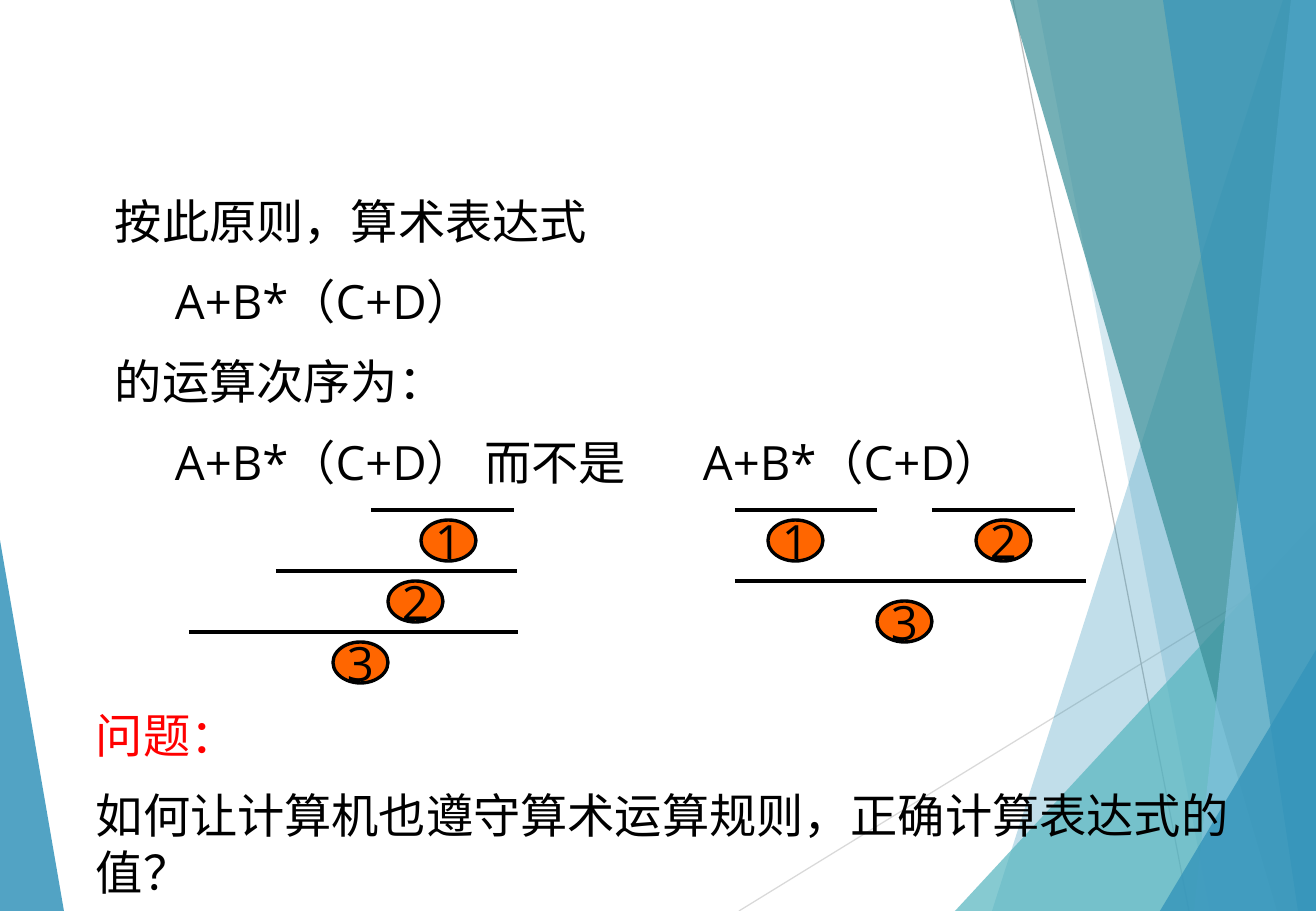
import pptx
import pptx.util
import pptx.dml.color
import pptx.enum.shapes
import pptx.enum.text
import pptx.oxml
import pptx.oxml.ns

RGBColor = pptx.dml.color.RGBColor
BLACK = RGBColor(0x00, 0x00, 0x00)
RED = RGBColor(0xFF, 0x00, 0x00)
ORANGE = RGBColor(0xFF, 0x66, 0x00)
BLUE = RGBColor(0x34, 0x94, 0xBA)
TEAL = RGBColor(0x58, 0xB6, 0xC0)
DARK_TEAL = RGBColor(0x3A, 0x8F, 0x98)
LIGHT_BLUE = RGBColor(0x7F, 0xC1, 0xDB)
LIGHT_GRAY = RGBColor(0xD9, 0xD9, 0xD9)
GRAY = RGBColor(0xBF, 0xBF, 0xBF)

PX = 7526  # EMU per px
WIDTH, HEIGHT = 1316, 911
TAB_STOPS = (60, 588)

deck = pptx.Presentation()
deck.slide_width = WIDTH * PX
deck.slide_height = HEIGHT * PX
page = deck.slides.add_slide(deck.slide_layouts[6])


def write(frame, text, first=True, color=BLACK, align=None, space_before=0, tabs=()):
    para = frame.paragraphs[0] if first else frame.add_paragraph()
    para.alignment = align
    span = para.add_run()
    span.text = text
    span.font.name = "Open Sans"
    span.font.size = pptx.util.Pt(28)
    span.font.color.rgb = color
    properties = para._p.get_or_add_pPr()
    namespace = pptx.oxml.ns.nsdecls("a")
    if space_before:
        properties.append(pptx.oxml.parse_xml(
            f'<a:spcBef {namespace}><a:spcPct val="{space_before * 1000}"/></a:spcBef>'))
    if tabs:
        stops = "".join(f'<a:tab pos="{stop * PX}" algn="l"/>' for stop in tabs)
        properties.append(pptx.oxml.parse_xml(f"<a:tabLst {namespace}>{stops}</a:tabLst>"))


def draw_line(start, end, color=BLACK, weight=2):
    line = page.shapes.add_connector(
        pptx.enum.shapes.MSO_CONNECTOR.STRAIGHT, *(value * PX for value in start + end))
    line.line.color.rgb = color
    line.line.width = pptx.util.Pt(weight)
    line._element.spPr.append(pptx.oxml.parse_xml(
        f'<a:effectLst {pptx.oxml.ns.nsdecls("a")}/>'))


# Backdrop: thin lines under translucent facets (color, opacity in percent, corners)
draw_line((739, HEIGHT), (1318, 555), color=LIGHT_GRAY, weight=0.75)
draw_line((1013, 0), (1189, HEIGHT), color=GRAY, weight=0.75)
facets = [
    (BLUE, 85, [(0, 540), (64, HEIGHT), (0, HEIGHT)]),
    (BLUE, 30, [(1283, 0), (992, HEIGHT), (WIDTH, HEIGHT), (WIDTH, 0)]),
    (BLUE, 20, [(1037, 0), (1210, HEIGHT), (WIDTH, HEIGHT), (WIDTH, 0)]),
    (TEAL, 72, [(955, HEIGHT), (WIDTH, 521), (WIDTH, HEIGHT)]),
    (DARK_TEAL, 70, [(1010, 0), (1277, HEIGHT), (WIDTH, HEIGHT), (WIDTH, 0)]),
    (LIGHT_BLUE, 70, [(1291, 0), (1194, HEIGHT), (WIDTH, HEIGHT), (WIDTH, 0)]),
    (BLUE, 65, [(1163, 0), (1298, HEIGHT), (WIDTH, HEIGHT), (WIDTH, 0)]),
    (BLUE, 80, [(1160, HEIGHT), (WIDTH, 650), (WIDTH, HEIGHT)]),
]
for color, opacity, corners in facets:
    builder = page.shapes.build_freeform(*corners[0], scale=PX)
    builder.add_line_segments(corners[1:], close=True)
    facet = builder.convert_to_shape()
    facet.shadow.inherit = False
    facet.line.fill.background()
    facet.fill.solid()
    facet.fill.fore_color.rgb = color
    tint = facet._element.spPr.find(".//" + pptx.oxml.ns.qn("a:srgbClr"))
    tint.append(pptx.oxml.parse_xml(
        f'<a:alpha {pptx.oxml.ns.nsdecls("a")} val="{opacity * 1000}"/>'))

# Expression and closing question
text_boxes = [
    ((103, 186, 1075, 495), [
        ("按此原则，算术表达式", BLACK),
        ("\tA+B*（C+D）", BLACK),
        ("的运算次序为：", BLACK),
        ("\tA+B*（C+D） 而不是\tA+B*（C+D）", BLACK),
    ]),
    ((84, 700, 1168, 211), [
        ("问题：", RED),
        ("如何让计算机也遵守算术运算规则，正确计算表达式的值？", BLACK),
    ]),
]
for bounds, lines in text_boxes:
    box = page.shapes.add_textbox(*(value * PX for value in bounds))
    box.text_frame.word_wrap = True
    box.text_frame.auto_size = pptx.enum.text.MSO_AUTO_SIZE.SHAPE_TO_FIT_TEXT
    for index, (text, color) in enumerate(lines):
        write(box.text_frame, text, first=index == 0, color=color, space_before=50,
              tabs=TAB_STOPS if "\t" in text else ())

# Evaluation order: bar (left, right, y), then step number (left, top)
steps = [
    ((371, 514, 510), "1", (421, 520)),
    ((276, 517, 571), "2", (388, 581)),
    ((189, 518, 632), "3", (333, 642)),
    ((735, 877, 510), "1", (768, 520)),
    ((932, 1075, 510), "2", (976, 520)),
    ((735, 1086, 581), "3", (877, 601)),
]
for (left, right, y), number, (badge_left, badge_top) in steps:
    draw_line((left, y), (right, y))
    badge = page.shapes.add_shape(
        pptx.enum.shapes.MSO_SHAPE.OVAL, badge_left * PX, badge_top * PX, 55 * PX, 41 * PX)
    badge.shadow.inherit = False
    badge.fill.solid()
    badge.fill.fore_color.rgb = ORANGE
    badge.line.color.rgb = BLACK
    badge.line.width = pptx.util.Pt(2)
    badge.text_frame.word_wrap = False
    badge.text_frame.vertical_anchor = pptx.enum.text.MSO_ANCHOR.MIDDLE
    write(badge.text_frame, number, align=pptx.enum.text.PP_ALIGN.CENTER)

deck.save("out.pptx")
